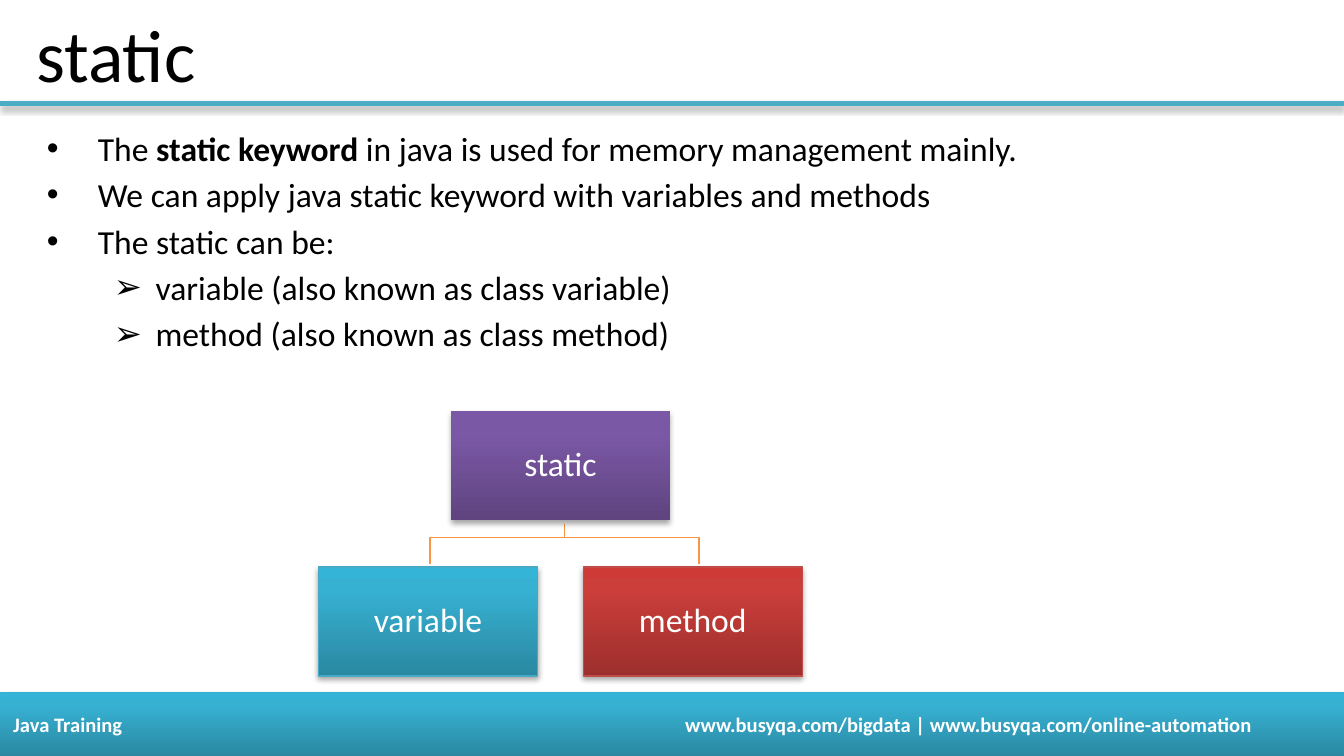
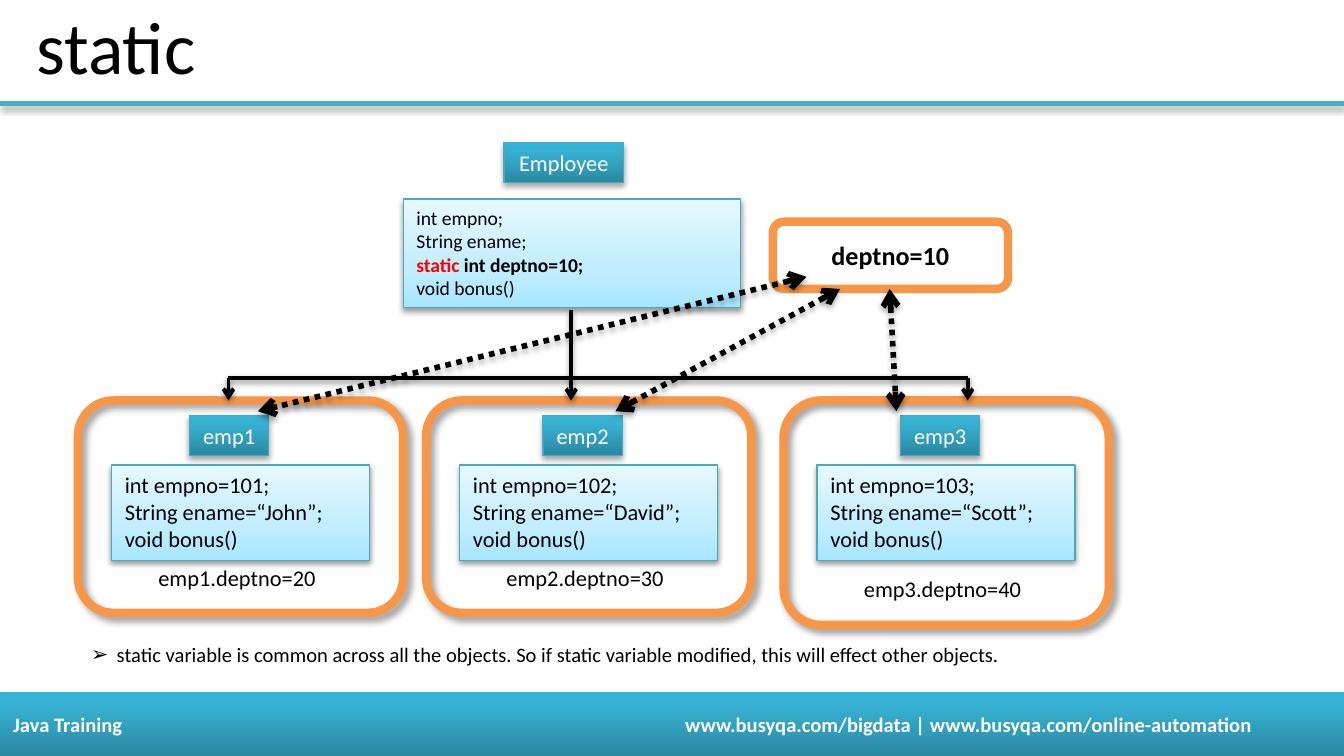
from dataclasses import dataclass

from lxml.etree import SubElement
from pptx import Presentation
from pptx.dml.color import RGBColor
from pptx.enum.dml import MSO_LINE
from pptx.enum.shapes import MSO_CONNECTOR, MSO_SHAPE
from pptx.enum.text import MSO_ANCHOR, MSO_AUTO_SIZE, PP_ALIGN
from pptx.oxml.ns import qn
from pptx.util import Inches, Pt

COLS, ROWS = 100, 56.25
CELL = Inches(0.1)


@dataclass(frozen=True)
class Theme:
    font: str = "Calibri"
    ink: str = "000000"
    paper: str = "FFFFFF"
    accent: str = "FF0000"
    rule: str = "4BACC6"
    edge: str = "46AAC5"
    red_edge: str = "BF4C48"
    orange: str = "F79646"
    teal: tuple = ((0, "2A88A2"), (80, "37B1D2"), (100, "34B4D6"))
    purple: tuple = ((0, "5F4480"), (80, "7B58A6"), (100, "7C57A8"))
    red: tuple = ((0, "9C2F2D"), (80, "CB3E3A"), (100, "CE3B37"))
    ice: tuple = ((0, "A7E6FF"), (35, "C1EDFF"), (100, "E7F8FF"))
    strong: tuple = (35, 3.15, 1.81, 90)
    soft: tuple = (38, 3.15, 1.57, 90)
    corner: tuple = (40, 4, 3, 45)
    title: float = 39.6
    body: float = 18
    key: float = 14
    label: float = 12
    small: float = 11
    code: float = 10.5


T = Theme()


@dataclass(frozen=True)
class Box:
    x: float
    y: float
    w: float
    h: float

    def sub(self, x, y, w, h):
        return Box(self.x + x, self.y + y, w, h)

    @property
    def emu(self):
        return [cells(v) for v in (self.x, self.y, self.w, self.h)]


PAGE = Box(0, 0, COLS, ROWS)


def cells(v):
    return round(v * CELL)


def rgb(value):
    return RGBColor.from_string(value)


def add_shadow(spPr, shadow):
    effects = spPr.find(qn("a:effectLst"))
    if effects is None:
        effects = SubElement(spPr, qn("a:effectLst"))
    if shadow:
        alpha, blur, dist, angle = shadow
        outer = SubElement(effects, qn("a:outerShdw"), blurRad=str(Pt(blur)), dist=str(Pt(dist)),
                           dir=str(angle * 60000), algn="ctr", rotWithShape="0")
        color = SubElement(outer, qn("a:srgbClr"), val=T.ink)
        SubElement(color, qn("a:alpha"), val=str(alpha * 1000))


def add_gradient(s, stops):
    s.fill.gradient()
    grad = s._element.spPr.find(qn("a:gradFill"))
    for child in list(grad):
        grad.remove(child)
    stop_list = SubElement(grad, qn("a:gsLst"))
    for pos, color in stops:
        stop = SubElement(stop_list, qn("a:gs"), pos=str(pos * 1000))
        SubElement(stop, qn("a:srgbClr"), val=color)
    SubElement(grad, qn("a:lin"), ang=str(270 * 60000), scaled="0")


def add_bullet(p, char, left, hang):
    pPr = p._p.get_or_add_pPr()
    pPr.set("marL", str(Inches(left)))
    pPr.set("indent", str(-Inches(hang)))
    SubElement(pPr, qn("a:buFont"), typeface="Arial")
    SubElement(pPr, qn("a:buChar"), char=char)


def style_runs(p, size, color, bold=False):
    for r in p.runs:
        f = r.font
        f.name, f.size, f.bold = T.font, Pt(size), bold
        f.color.rgb = rgb(color)


def write(tf, lines, size, color=T.ink, bold=False, align=PP_ALIGN.LEFT,
          anchor=MSO_ANCHOR.TOP, wrap=True):
    tf.word_wrap = wrap
    tf.vertical_anchor = anchor
    tf.text = "\n".join(lines)
    for p in tf.paragraphs:
        p.alignment = align
        style_runs(p, size, color, bold)


def emphasise(p, parts, size):
    p.text = ""
    for text, color, bold in parts:
        r = p.add_run()
        r.text = text
        r.font.name, r.font.size, r.font.bold = T.font, Pt(size), bold
        r.font.color.rgb = rgb(color)


def add_block(sl, box, stops=None, line=None, width=0.75, shadow=None, kind=MSO_SHAPE.RECTANGLE):
    s = sl.shapes.add_shape(kind, *box.emu)
    s.shadow.inherit = False
    if stops:
        add_gradient(s, stops)
    else:
        s.fill.background()
    if line:
        s.line.color.rgb = rgb(line)
        s.line.width = Pt(width)
    else:
        s.line.fill.background()
    add_shadow(s._element.spPr, shadow)
    return s


def add_frame(sl, box, shadow=None):
    return add_block(sl, box, None, T.orange, 4.5, shadow, MSO_SHAPE.ROUNDED_RECTANGLE)


def add_line(sl, start, end, color=T.ink, width=2, shadow=T.soft, dotted=False, ends=()):
    points = [cells(v) for v in (*start, *end)]
    c = sl.shapes.add_connector(MSO_CONNECTOR.STRAIGHT, *points)
    c.line.color.rgb = rgb(color)
    c.line.width = Pt(width)
    if dotted:
        c.line.dash_style = MSO_LINE.ROUND_DOT
    for end_tag in ends:
        SubElement(c.line._get_or_add_ln(), qn(f"a:{end_tag}"), type="arrow")
    add_shadow(c._element.spPr, shadow)


def add_text(sl, box, lines, size, wrap=True):
    tf = sl.shapes.add_textbox(*box.emu).text_frame
    write(tf, lines, size, wrap=wrap)
    return tf


def add_tag(sl, box, text):
    s = add_block(sl, box, T.teal, T.edge, shadow=T.strong)
    write(s.text_frame, [text], T.label, T.paper, align=PP_ALIGN.CENTER, wrap=False)


def add_members(sl, box, lines, size):
    s = add_block(sl, box, T.ice, T.edge, shadow=T.soft)
    write(s.text_frame, lines, size)
    return s.text_frame


def add_footer(sl, box):
    s = add_block(sl, box, T.teal, shadow=T.strong)
    tf = s.text_frame
    write(tf, ["Java Training\twww.busyqa.com/bigdata | www.busyqa.com/online-automation"],
          T.small, T.paper, True, anchor=MSO_ANCHOR.MIDDLE)
    tabs = SubElement(tf.paragraphs[0]._p.get_or_add_pPr(), qn("a:tabLst"))
    SubElement(tabs, qn("a:tab"), pos=str(Inches(5)), algn="l")


def add_page(prs, title, title_top):
    sl = prs.slides.add_slide(prs.slide_layouts[5])
    add_line(sl, (0, 7.7), (COLS, 7.7), T.rule, 3, T.strong)
    add_footer(sl, PAGE.sub(0, 51.5, COLS, ROWS - 51.5))
    s = sl.shapes.title
    s.left, s.top, s.width, s.height = PAGE.sub(1.7, title_top, 90, 6.7).emu
    write(s.text_frame, [title], T.title, anchor=MSO_ANCHOR.MIDDLE)
    s.text_frame.auto_size = MSO_AUTO_SIZE.NONE
    return sl


def add_points(sl, box):
    points = [
        (0, "The static keyword in java is used for memory management mainly."),
        (0, "We can apply java static keyword with variables and methods"),
        (0, "The static can be:"),
        (1, "variable (also known as class variable)"),
        (1, "method (also known as class method)"),
    ]
    bullets = {0: ("•", 0.38, 0.38), 1: ("➢", 0.81, 0.31)}
    tf = add_text(sl, box, [text for _, text in points], T.body)
    for i, (p, (level, _)) in enumerate(zip(tf.paragraphs, points)):
        p.level = level
        add_bullet(p, *bullets[level])
        p.space_before = Pt(3.3 if i else 0)
    emphasise(tf.paragraphs[0], [
        ("The ", T.ink, False),
        ("static keyword", T.ink, True),
        (" in java is used for memory management mainly.", T.ink, False),
    ], T.body)


def add_node(sl, box, text, stops, line=None):
    s = add_block(sl, box, stops, line, shadow=T.strong)
    tf = s.text_frame
    tf.margin_left = tf.margin_right = tf.margin_top = tf.margin_bottom = Inches(0.01)
    write(tf, [text], T.body, T.paper, align=PP_ALIGN.CENTER, anchor=MSO_ANCHOR.MIDDLE)
    tf.paragraphs[0].line_spacing = 0.9


def add_tree(sl, box):
    w, h = 16.3, 8.1
    mid, root_end, child_top = box.x + box.w / 2, box.y + h, box.y + box.h - h
    bend = (root_end + child_top) / 2
    children = [("variable", T.teal, T.edge, 0), ("method", T.red, T.red_edge, box.w - w)]
    for *_, dx in children:
        x = box.x + dx + w / 2
        fb = sl.shapes.build_freeform(mid, root_end, scale=CELL)
        fb.add_line_segments([(mid, bend), (x, bend), (x, child_top)], close=False)
        s = fb.convert_to_shape()
        s.shadow.inherit = False
        s.fill.background()
        s.line.color.rgb = rgb(T.orange)
        s.line.width = Pt(0.75)
    add_node(sl, box.sub((box.w - w) / 2, 0, w, h), "static", T.purple)
    for text, stops, line, dx in children:
        add_node(sl, box.sub(dx, box.h - h, w, h), text, stops, line)


def add_class(sl, box):
    add_tag(sl, box.sub(7.5, 0, 8.9, 3), "Employee")
    lines = ["int empno;", "String ename;", "static int deptno=10;", "void bonus()"]
    tf = add_members(sl, box.sub(0, 4.2, box.w, 8.1), lines, T.code)
    emphasise(tf.paragraphs[2], [("static ", T.accent, True), ("int deptno=10;", T.ink, True)], T.code)


def add_instance(sl, box, number, ename, tag_x, note_y):
    name = f"emp{number}"
    add_tag(sl, box.sub(tag_x, 1.1, 5.9, 3), name)
    lines = [f"int empno=10{number};", f"String ename=“{ename}”;", "void bonus()"]
    add_members(sl, box.sub(2.5, 4.8, 19.2, 7.1), lines, T.label)
    add_frame(sl, box, T.corner)
    add_text(sl, box.sub(5, note_y, 13.8, 3), [f"{name}.deptno={number + 1}0"], T.label, wrap=False)


def add_shared(sl, box):
    s = add_frame(sl, box)
    write(s.text_frame, ["deptno=10"], T.key, bold=True, align=PP_ALIGN.CENTER,
          anchor=MSO_ANCHOR.MIDDLE)


def add_links(sl):
    bus, top, left, mid, right = 28.1, 29.8, 17, 42.5, 72
    add_line(sl, (left, bus), (right, bus))
    for x, y in ((left, bus), (right, bus), (mid, 23.1)):
        add_line(sl, (x, y), (x, top), ends=["tailEnd"])
    for start, x in (((66.2, 21.5), 66.7), ((62.5, 21.5), 45.8), ((60, 20.6), 19.2)):
        add_line(sl, start, (x, 30.6), width=3, shadow=T.strong, dotted=True,
                 ends=["headEnd", "tailEnd"])


def add_remark(sl, box):
    tf = add_text(sl, box, ["static variable is common across all the objects. "
                            "So if static variable modified, this will effect other objects."], T.small)
    add_bullet(tf.paragraphs[0], "➢", 0.19, 0.19)


def keyword_slide(prs):
    sl = add_page(prs, "static", 0.6)
    add_points(sl, PAGE.sub(2.5, 9, 95, 20))
    add_tree(sl, PAGE.sub(23.7, 30.6, 36, 19.7))


def objects_slide(prs):
    sl = add_page(prs, "static", 0)
    add_class(sl, PAGE.sub(30, 10.6, 25.1, 12.3))
    instances = [
        (5.8, 15.8, "John", 8.3, 11.7),
        (31.7, 15.8, "David", 8.7, 11.7),
        (58.3, 16.7, "Scott", 8.7, 12.5),
    ]
    for number, (x, h, ename, tag_x, note_y) in enumerate(instances, 1):
        add_instance(sl, PAGE.sub(x, 29.8, 24.2, h), number, ename, tag_x, note_y)
    add_remark(sl, PAGE.sub(5.8, 47.3, 79.2, 2.9))
    add_shared(sl, PAGE.sub(57.5, 16.5, 17.5, 5))
    add_links(sl)


def main():
    prs = Presentation()
    prs.slide_width, prs.slide_height = cells(COLS), cells(ROWS)
    keyword_slide(prs)
    objects_slide(prs)
    prs.save("out.pptx")


if __name__ == "__main__":
    main()
